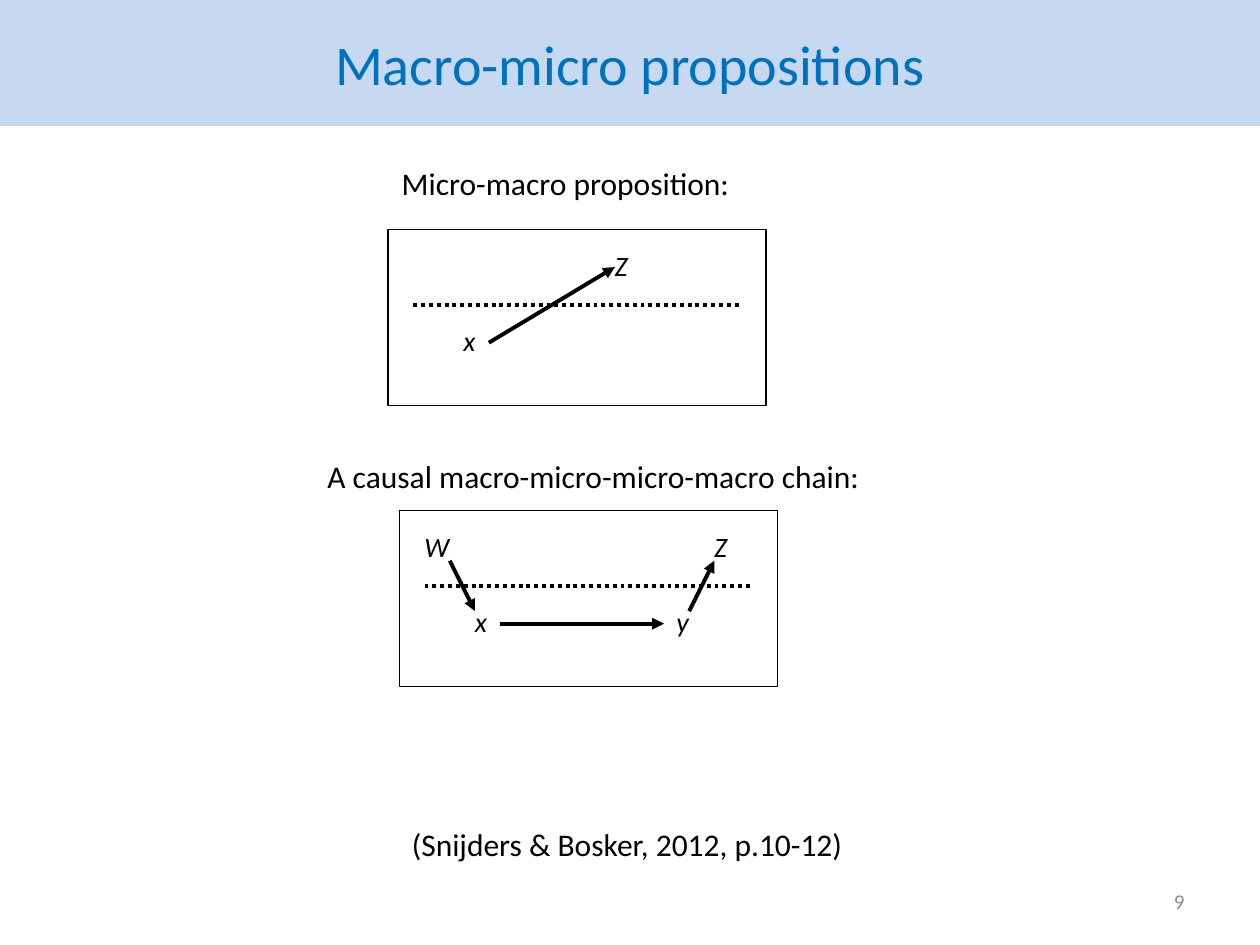
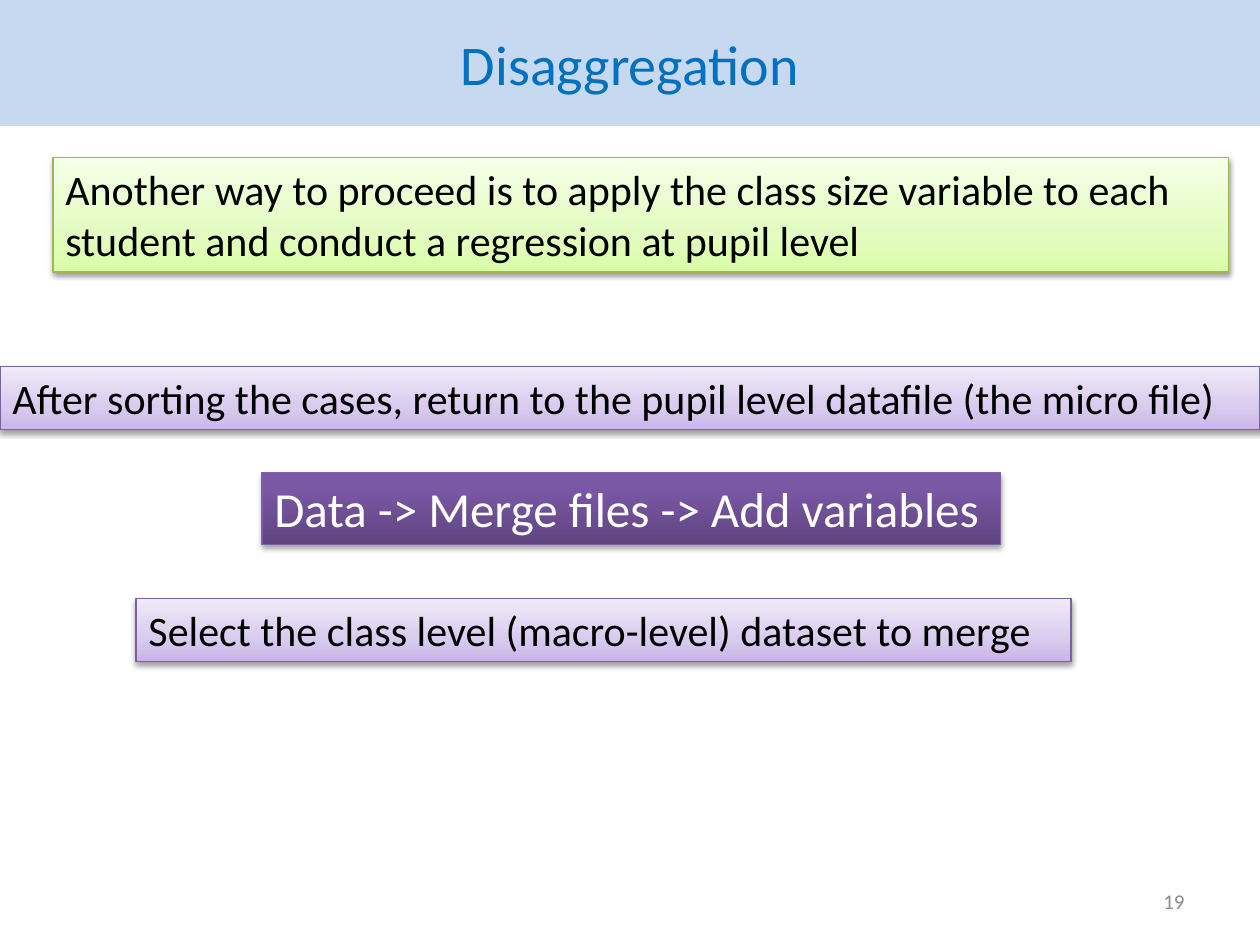
from copy import deepcopy
from dataclasses import dataclass

from lxml import etree
from pptx import Presentation
from pptx import util as u
from pptx.dml.color import RGBColor
from pptx.enum import dml, shapes, text
from pptx.oxml.ns import qn

EMU_PER_PX = 9144
LEFT, CENTER, RIGHT = (
    text.PP_ALIGN.LEFT, text.PP_ALIGN.CENTER, text.PP_ALIGN.RIGHT)
TOP, MIDDLE = text.MSO_ANCHOR.TOP, text.MSO_ANCHOR.MIDDLE


@dataclass(frozen=True)
class Callout:
    stops: tuple
    line: str
    ink: str
    size: int
    shadow_distance: int = 20000
    shadow_alpha: int = 38000


@dataclass(frozen=True)
class Theme:
    font: str = "Calibri"
    ink: str = "000000"
    paper: str = "FFFFFF"
    band: str = "C6D9F1"
    title: str = "0070C0"
    muted: str = "8C8C8C"
    title_size: int = 32
    caption_size: int = 18
    label_size: int = 16
    number_size: int = 12
    thin: float = 0.75
    thick: float = 2.25
    green: Callout = Callout(
        ((0, "DAFDA7"), (0.35, "E4FCC2"), (1, "F5FFE7")), "98B955", "000000", 24)
    lilac: Callout = Callout(
        ((0, "C9B5E8"), (0.35, "D8CBEE"), (1, "F0EAF9")), "7D60A0", "000000", 24)
    purple: Callout = Callout(
        ((0, "5F4480"), (0.8, "7B58A6"), (1, "7C57A8")), "7D60A0", "FFFFFF", 28,
        23000, 35000)


def px(*lengths):
    return [u.Emu(length * EMU_PER_PX) for length in lengths]


def apply(target, values):
    for name, value in values.items():
        setattr(target, name, value)


class SlideBuilder:
    def __init__(self, deck, theme):
        self.deck = deck
        self.theme = theme
        self.page = None

    def start(self, title, number):
        theme = self.theme
        self.page = self.deck.slides.add_slide(self.deck.slide_layouts[6])
        band = self.rectangle((0, 0, 1000, 100), theme.band)
        self.put_text(band, title, theme.title_size, theme.title, CENTER, MIDDLE)
        box = self.page.shapes.add_textbox(*px(717, 695, 233, 40))
        self.put_text(box, number, theme.number_size, theme.muted, RIGHT, MIDDLE)

    def put_text(self, shape, words, size, color, align=LEFT, anchor=TOP,
                 wrap=True, italic=False):
        frame = shape.text_frame
        apply(frame, {"word_wrap": wrap, "vertical_anchor": anchor})
        para = frame.paragraphs[0]
        para.alignment = align
        span = para.add_run()
        span.text = words
        apply(span.font, {"name": self.theme.font, "size": u.Pt(size),
                          "italic": italic})
        span.font.color.rgb = RGBColor.from_string(color)

    def rectangle(self, place, fill=None, line=None):
        shape = self.page.shapes.add_shape(
            shapes.MSO_SHAPE.RECTANGLE, *px(*place))
        shape.shadow.inherit = False
        if fill:
            shape.fill.solid()
            shape.fill.fore_color.rgb = RGBColor.from_string(fill)
        if line:
            shape.line.color.rgb = RGBColor.from_string(line)
            shape.line.width = u.Pt(self.theme.thin)
        else:
            shape.line.fill.background()
        return shape

    def caption(self, place, words):
        box = self.page.shapes.add_textbox(*px(*place))
        self.put_text(box, words, self.theme.caption_size, self.theme.ink,
                      wrap=False)

    def label(self, left, top, letter):
        box = self.rectangle((left, top, 40, 40), self.theme.paper)
        self.put_text(box, letter, self.theme.label_size, self.theme.ink,
                      italic=True)

    def connector(self, start, end, dotted=False):
        line = self.page.shapes.add_connector(
            shapes.MSO_CONNECTOR.STRAIGHT, *px(*start, *end))
        line.line.color.rgb = RGBColor.from_string(self.theme.ink)
        line.line.width = u.Pt(self.theme.thick)
        properties = line.element.spPr
        if dotted:
            line.line.dash_style = dml.MSO_LINE.ROUND_DOT
        else:
            etree.SubElement(properties.find(qn("a:ln")), qn("a:tailEnd"),
                             type="triangle")
        etree.SubElement(properties, qn("a:effectLst"))

    def diagram(self, left, top, labels, arrows):
        def shift(x, y):
            return left + x, top + y

        self.rectangle((left, top, 300, 140), self.theme.paper, self.theme.ink)
        for letter, x, y in labels:
            self.label(*shift(x, y), letter)
        self.connector(shift(20, 60), shift(280, 60), dotted=True)
        for start, end in arrows:
            self.connector(shift(*start), shift(*end))

    def callout(self, place, words, style, wrap=True):
        shape = self.rectangle(place, line=style.line)
        shape.fill.gradient()
        shape.fill.gradient_angle = 90
        properties = shape.element.spPr
        stop_list = properties.find(".//" + qn("a:gsLst"))
        stop_list.append(deepcopy(stop_list[0]))
        for stop, (position, color) in zip(shape.fill.gradient_stops, style.stops):
            stop.position = position
            stop.color.rgb = RGBColor.from_string(color)
        shadow = etree.SubElement(
            properties.find(qn("a:effectLst")), qn("a:outerShdw"),
            blurRad="40000", dist=str(style.shadow_distance), dir="5400000",
            rotWithShape="0")
        shade = etree.SubElement(shadow, qn("a:srgbClr"), val=self.theme.ink)
        etree.SubElement(shade, qn("a:alpha"), val=str(style.shadow_alpha))
        self.put_text(shape, words, style.size, style.ink, wrap=wrap)


def add_propositions(builder):
    builder.start("Macro-micro propositions", "9")
    builder.diagram(308, 182, [("x", 50, 70), ("Z", 170, 10)],
                    [((80, 90), (180, 30))])
    builder.diagram(
        317, 405,
        [("x", 50, 70), ("y", 210, 70), ("W", 10, 10), ("Z", 240, 10)],
        [((80, 90), (210, 90)), ((40, 40), (60, 80)), ((230, 80), (250, 40))])
    builder.caption((309, 125, 283, 71), "Micro-macro proposition:")
    builder.caption((250, 358, 447, 71), "A causal macro-micro-micro-macro chain:")
    builder.caption((317, 650, 366, 71), "(Snijders & Bosker, 2012, p.10-12)")


def add_disaggregation(builder):
    theme = builder.theme
    builder.start("Disaggregation", "19")
    builder.callout(
        (42, 125, 933, 91),
        "Another way to proceed is to apply the class size variable to each "
        "student and conduct a regression at pupil level", theme.green)
    builder.callout(
        (0, 291, 1000, 50),
        "After sorting the cases, return to the pupil level datafile "
        "(the micro file)", theme.lilac)
    builder.callout((208, 375, 586, 57), "Data -> Merge files -> Add variables",
                    theme.purple, wrap=False)
    builder.callout((108, 475, 742, 50),
                    "Select the class level (macro-level) dataset to merge",
                    theme.lilac)


def main():
    deck = Presentation()
    deck.slide_width, deck.slide_height = px(1000, 750)
    builder = SlideBuilder(deck, Theme())
    add_propositions(builder)
    add_disaggregation(builder)
    deck.save("out.pptx")


if __name__ == "__main__":
    main()
